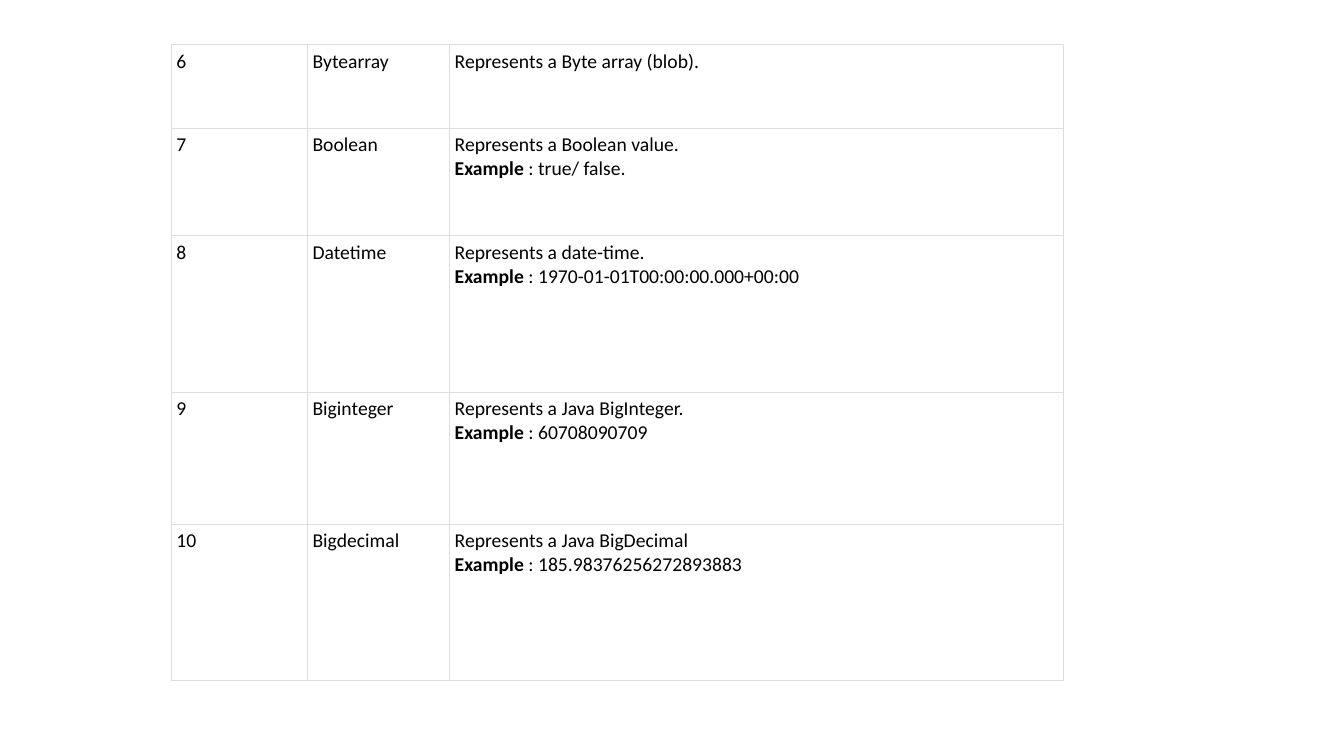
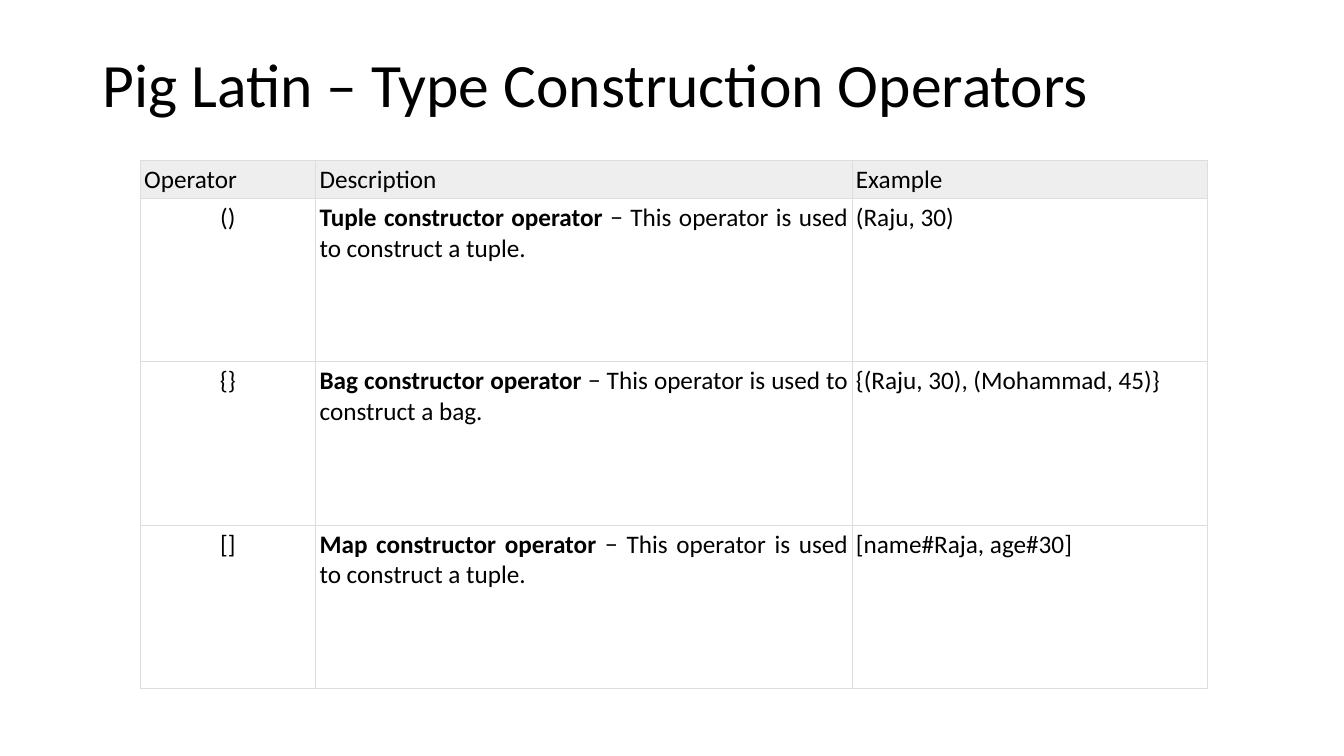
"""Build two slides on Pig Latin data types and type construction operators."""
from dataclasses import dataclass

from lxml import etree
from pptx import Presentation
from pptx import util as u
from pptx.dml.color import RGBColor
from pptx.enum import text
from pptx.oxml.ns import qn


@dataclass(frozen=True)
class Theme:
    font: str = "Calibri"
    ink: str = "000000"
    rule: str = "DDDDDD"
    head: str = "EEEEEE"
    line: float = 0.6
    title: int = 44
    types: int = 14
    ops: int = 18


look = Theme()
left, mid, just = text.PP_ALIGN.LEFT, text.PP_ALIGN.CENTER, text.PP_ALIGN.JUSTIFY


def write(frame, words, size, align=left):
    """Write one paragraph per line, with the part before a bar in bold."""
    for num, row in enumerate(words.split("\n")):
        para = frame.add_paragraph() if num else frame.paragraphs[0]
        bold, bar, rest = row.partition("|")
        para.text = bold
        para.alignment = align
        if bar:
            para.add_run().text = rest
        for spot, run in enumerate(para.runs):
            run.font.name = look.font
            run.font.size = u.Pt(size)
            run.font.bold = bool(bar) and spot == 0
            run.font.color.rgb = RGBColor.from_string(look.ink)


def grid(slide, spot, cols, rows, data, size, inset, aligns, head=False):
    """Add a ruled table, with a shaded first row if head is set."""
    box = [u.Inches(n) for n in (*spot, sum(cols), sum(rows))]
    table = slide.shapes.add_table(len(rows), len(cols), *box).table
    table.first_row = head
    table.horz_banding = False
    for col, wide in zip(table.columns, cols):
        col.width = u.Inches(wide)
    for num, (row, high) in enumerate(zip(table.rows, rows)):
        row.height = u.Inches(high)
        top = head and num == 0
        for cell, words, align in zip(row.cells, data[num], aligns):
            cell.margin_left = cell.margin_right = u.Inches(inset)
            cell.margin_top = cell.margin_bottom = u.Inches(inset)
            write(cell.text_frame, words, size, left if top else align)
            props = cell._tc.get_or_add_tcPr()
            for side in ("a:lnL", "a:lnR", "a:lnT", "a:lnB"):
                edge = etree.SubElement(props, qn(side), w=str(u.Pt(look.line)))
                fill = etree.SubElement(edge, qn("a:solidFill"))
                etree.SubElement(fill, qn("a:srgbClr"), val=look.rule)
            if top:
                cell.fill.solid()
                cell.fill.fore_color.rgb = RGBColor.from_string(look.head)
            else:
                cell.fill.background()


deck = Presentation()
deck.slide_width, deck.slide_height = u.Inches(13.33), u.Inches(7.5)
blank = deck.slide_layouts[6]

types = [
    ("6", "Bytearray", "Represents a Byte array (blob)."),
    ("7", "Boolean", "Represents a Boolean value.\nExample| : true/ false."),
    ("8", "Datetime", "Represents a date-time.\nExample| : 1970-01-01T00:00:00.000+00:00"),
    ("9", "Biginteger", "Represents a Java BigInteger.\nExample| : 60708090709"),
    ("10", "Bigdecimal", "Represents a Java BigDecimal\nExample| : 185.98376256272893883"),
]
slide = deck.slides.add_slide(blank)
grid(slide, (1.7, 0.44), (1.35, 1.41, 6.09), (0.83, 1.07, 1.55, 1.31, 1.55),
     types, look.types, 0.05, (left, left, just))

ops = [("Operator", "Description", "Example")]
for sign, kind, thing, case in (
    ("()", "Tuple", "tuple", "(Raju, 30)"),
    ("{}", "Bag", "bag", "{(Raju, 30), (Mohammad, 45)}"),
    ("[]", "Map", "tuple", "[name#Raja, age#30]"),
):
    about = f"{kind} constructor operator| − This operator is used to construct a {thing}."
    ops.append((sign, about, case))
slide = deck.slides.add_slide(blank)
title = slide.shapes.add_textbox(*[u.Inches(n) for n in (0.92, 0.4, 11.5, 0.94)])
frame = title.text_frame
frame.word_wrap = True
frame.vertical_anchor = text.MSO_ANCHOR.MIDDLE
write(frame, "Pig Latin – Type Construction Operators", look.title)
frame.paragraphs[0].line_spacing = 0.9
grid(slide, (1.39, 1.59), (1.74, 5.32, 3.53), (0.38, 1.62, 1.62, 1.62),
     ops, look.ops, 0.04, (mid, just, left), head=True)

deck.save("out.pptx")
